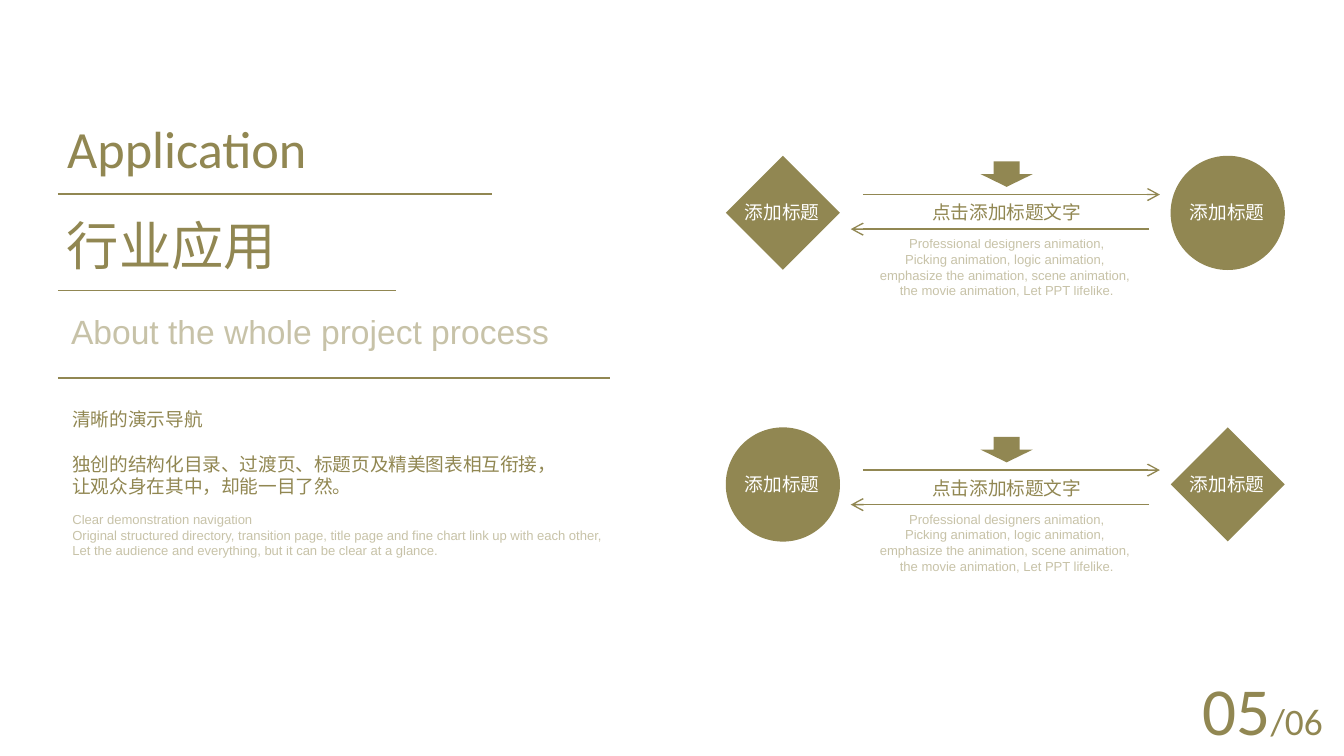
from pptx import Presentation
from pptx.dml.color import RGBColor
from pptx.enum.shapes import MSO_CONNECTOR, MSO_SHAPE
from pptx.enum.text import MSO_ANCHOR, MSO_AUTO_SIZE, PP_ALIGN
from pptx.oxml.ns import qn
from pptx.util import Inches, Pt
from lxml.etree import SubElement

# Places are given in columns and rows of a grid with 0.1 inch cells.
COLUMNS, ROWS = 100, 56.25
OLIVE, WHITE = "918752", "FFFFFF"
CJK = "Noto Sans CJK SC"
LINE_RATIO = 1.2

FRAME = {"word_wrap": False, "auto_size": MSO_AUTO_SIZE.SHAPE_TO_FIT_TEXT,
         "vertical_anchor": MSO_ANCHOR.TOP}
ENGLISH_TITLE = {"name": "Calibri", "size": 28}
CHINESE_TITLE = {"name": CJK, "size": 28}
SUBTITLE = {"name": "Arial", "size": 18, "alpha": 50}
CHINESE = {"name": CJK, "size": 10}
NODE_LABEL = {**CHINESE, "color": WHITE}
SMALL = {"name": "Arial", "size": 7, "alpha": 50}
PAGE_NUMBER = {"name": "Calibri", "size": 36}
PAGE_TOTAL = {"name": "Calibri", "size": 20}

FLOW_CENTER, FLOW_WIDTH = 74.9, 21.2
NODE_CENTERS = (58.25, 91.35)
NODE_SIZE, SQUARE_SIZE = 8.5, 6
DETAILS = ["Professional designers animation,",
           "Picking animation, logic animation, ",
           "emphasize the animation, scene animation, ",
           "the movie animation, Let PPT lifelike."]


def cells(*values):
    return [Inches(value / 10) for value in values]


def paint(color_format, color, alpha=None):
    color_format.rgb = RGBColor.from_string(color)
    if alpha:
        node = color_format._xFill.find(qn("a:srgbClr"))
        SubElement(node, qn("a:alpha"), val=str(alpha * 1000))


def add_span(para, text, style):
    span = para.add_run()
    span.text = text
    for key, value in {"name": style["name"], "size": Pt(style["size"])}.items():
        setattr(span.font, key, value)
    span.font.fill.solid()
    paint(span.font.fill.fore_color, style.get("color", OLIVE), style.get("alpha"))
    if style["name"] == CJK:
        SubElement(span.font._element, qn("a:ea"), typeface=CJK)
        para.line_spacing = Pt(style["size"] * LINE_RATIO)


def write(box, lines, style, align=PP_ALIGN.LEFT):
    """Fill a box with one paragraph a line and return its paragraphs."""
    frame = box.text_frame
    for key, value in FRAME.items():
        setattr(frame, key, value)
    for index, line in enumerate(lines):
        para = frame.paragraphs[0] if index == 0 else frame.add_paragraph()
        para.alignment = align
        add_span(para, line, style)
    return frame.paragraphs


def add_text(page, place, lines, style, align=PP_ALIGN.LEFT):
    box = page.shapes.add_textbox(*cells(*place))
    return write(box, lines, style, align)


def add_line(page, start, end, row, arrow=False):
    line = page.shapes.add_connector(MSO_CONNECTOR.STRAIGHT,
                                     *cells(start, row, end, row))
    line.line.width = Pt(0.75)
    line.line.fill.solid()
    paint(line.line.fill.fore_color, OLIVE)
    if arrow:
        SubElement(line.line._get_or_add_ln(), qn("a:tailEnd"), type="arrow")
    SubElement(line._element.spPr, qn("a:effectLst"))


def add_solid(page, kind, center, middle, width, height, rotation=0):
    place = cells(center - width / 2, middle - height / 2, width, height)
    shape = page.shapes.add_shape(kind, *place)
    shape.rotation = rotation
    shape.shadow.inherit = False
    shape.fill.solid()
    paint(shape.fill.fore_color, OLIVE)
    shape.line.fill.background()


def add_node(page, center, middle, is_diamond):
    if is_diamond:
        add_solid(page, MSO_SHAPE.RECTANGLE, center, middle,
                  SQUARE_SIZE, SQUARE_SIZE, rotation=45)
    else:
        add_solid(page, MSO_SHAPE.OVAL, center, middle, NODE_SIZE, NODE_SIZE)
    add_text(page, (center - 3.8, middle - 1.35, 7.6, 2.7), ["添加标题"], NODE_LABEL)


def add_exchange(page, top, node_middle, diamond_first):
    """Draw two nodes, the arrows between them and the text around the arrows."""
    for center, is_diamond in zip(NODE_CENTERS, (diamond_first, not diamond_first)):
        add_node(page, center, node_middle, is_diamond)
    add_solid(page, MSO_SHAPE.DOWN_ARROW, FLOW_CENTER, top - 1.53, 3.9, 1.9)
    add_line(page, 64.2, 86.3, top, arrow=True)
    add_line(page, 85.5, 63.3, top + 2.57, arrow=True)
    add_text(page, (FLOW_CENTER - 6.6, top, 13.2, 2.7),
             ["点击添加标题文字"], CHINESE, PP_ALIGN.CENTER)
    add_text(page, (FLOW_CENTER - FLOW_WIDTH / 2, top + 2.57, FLOW_WIDTH, 5.7),
             DETAILS, SMALL, PP_ALIGN.CENTER)


def add_heading(page):
    title = page.shapes.title
    sides = ("left", "top", "width", "height")
    for side, value in zip(sides, cells(4, 8.15, 26.9, 5.7)):
        setattr(title, side, value)
    write(title, ["Application"], ENGLISH_TITLE)
    add_text(page, (4, 15.4, 17.7, 5.7), ["行业应用"], CHINESE_TITLE)
    add_text(page, (4.3, 22.65, 37.9, 4), ["About the whole project process"], SUBTITLE)
    for end, row in ((36.6, 14.43), (29.5, 21.63), (45.4, 28.13)):
        add_line(page, 4.3, end, row)


def add_introduction(page):
    paras = add_text(page, (4.4, 29.85, 38.5, 7.7),
                     ["清晰的演示导航",
                      "独创的结构化目录、过渡页、标题页及精美图表相互衔接，",
                      "让观众身在其中，却能一目了然。"], CHINESE)
    paras[1].space_before = Pt(CHINESE["size"] * LINE_RATIO)
    add_text(page, (4.4, 37.57, 42.2, 4.5),
             ["Clear demonstration navigation",
              "Original structured directory, transition page, title page "
              "and fine chart link up with each other,",
              "Let the audience and everything, but it can be clear at a glance."],
             SMALL)


def main():
    deck = Presentation()
    deck.slide_width, deck.slide_height = cells(COLUMNS, ROWS)
    page = deck.slides.add_slide(deck.slide_layouts.get_by_name("Title Only"))
    add_heading(page)
    add_introduction(page)
    add_exchange(page, top=14.48, node_middle=15.84, diamond_first=True)
    add_exchange(page, top=34.98, node_middle=36.05, diamond_first=False)
    number = add_text(page, (87.95, 49.2, 12, 7.1), ["05"], PAGE_NUMBER, PP_ALIGN.CENTER)
    add_span(number[0], "/06", PAGE_TOTAL)
    deck.save("out.pptx")


if __name__ == "__main__":
    main()
